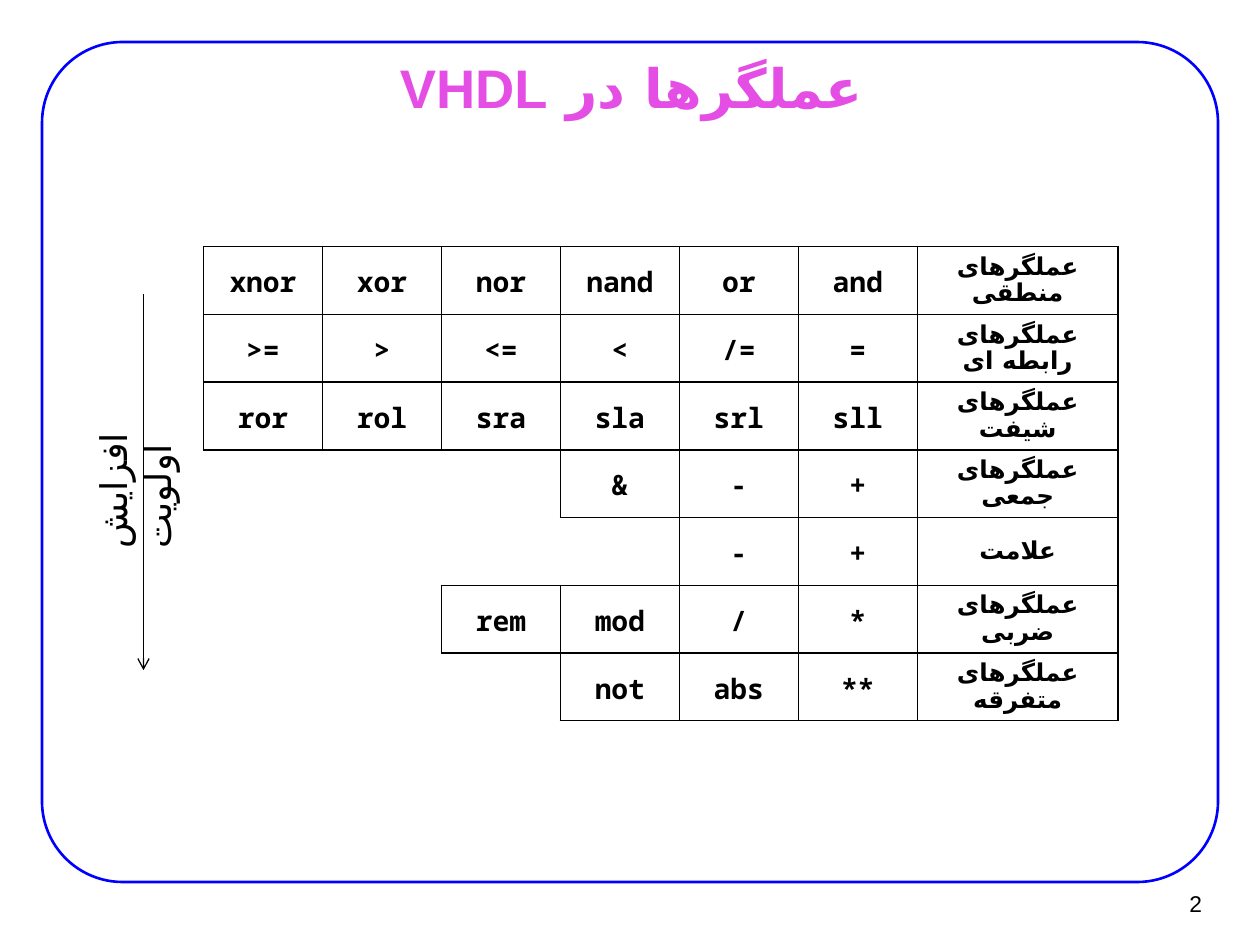
from pptx import Presentation
from pptx.dml.color import RGBColor
from pptx.enum.shapes import MSO_CONNECTOR, MSO_SHAPE
from pptx.enum.text import MSO_ANCHOR, MSO_AUTO_SIZE, PP_ALIGN
from pptx.oxml.ns import qn
from pptx.util import Pt
from lxml.etree import SubElement

COLORS = {"frame": "0000FF", "title": "E44EE4", "ink": "000000"}
CODE_FONT, LABEL_FONT, PERSIAN_FONT = "Noto Sans Mono", "Calibri", "DejaVu Sans"
NO_GRID_STYLE = "{2D5ABB26-0587-4C30-8999-92F81FD0307C}"

# Category, then its operators from right to left
OPERATORS = [
    ("عملگرهای منطقی", ["and", "or", "nand", "nor", "xor", "xnor"]),
    ("عملگرهای رابطه ای", ["=", "/=", "<", "<=", ">", ">="]),
    ("عملگرهای شیفت", ["sll", "srl", "sla", "sra", "rol", "ror"]),
    ("عملگرهای جمعی", ["+", "-", "&"]),
    ("علامت", ["+", "-"]),
    ("عملگرهای ضربی", ["*", "/", "mod", "rem"]),
    ("عملگرهای متفرقه", ["**", "abs", "not"]),
]
OPERATOR_COLUMNS = 6
OPERATOR_WIDTH, CATEGORY_WIDTH, ROW_HEIGHT = 68, 114.7, 38.7


def rgb(name):
    return RGBColor.from_string(COLORS[name])


def write(text_frame, text, font, size, color="ink", bold=False,
          align=PP_ALIGN.LEFT, rtl=False):
    paragraph = text_frame.paragraphs[0]
    paragraph.alignment = align
    if rtl:
        paragraph._p.get_or_add_pPr().set("rtl", "1")
    run = paragraph.add_run()
    run.text = text
    run.font.size = Pt(size)
    run.font.bold = bold
    run.font.color.rgb = rgb(color)
    run.font.name = font
    SubElement(run._r.get_or_add_rPr(), qn("a:cs"), typeface=PERSIAN_FONT)
    return paragraph


def set_margins(box, horizontal, vertical):
    box.margin_left = box.margin_right = Pt(horizontal)
    box.margin_top = box.margin_bottom = Pt(vertical)


def set_title(slide, text):
    title = slide.shapes.title
    title.left, title.top, title.width, title.height = Pt(54.7), Pt(31.7), Pt(612), Pt(35.3)
    frame = title.text_frame
    frame.auto_size = MSO_AUTO_SIZE.NONE
    frame.vertical_anchor = MSO_ANCHOR.MIDDLE
    set_margins(frame, 7.9, 4.3)
    write(frame, text, "Arial", 31, "title", True, PP_ALIGN.CENTER, rtl=True)


def add_frame(slide):
    """Rounded outline placed behind the title."""
    frame = slide.shapes.add_shape(MSO_SHAPE.ROUNDED_RECTANGLE, Pt(24), Pt(24), Pt(672), Pt(480))
    frame.adjustments[0] = 0.096
    frame.shadow.inherit = False
    frame.fill.background()
    frame.line.color.rgb = rgb("frame")
    frame.line.width = Pt(1.5)
    slide.shapes.title._element.addprevious(frame._element)


def set_borders(cell, visible_sides):
    properties = cell._tc.get_or_add_tcPr()
    for position, side in enumerate("LRTB"):
        line = SubElement(properties, qn(f"a:ln{side}"), w=str(Pt(1)))
        if side in visible_sides:
            fill = SubElement(line, qn("a:solidFill"))
            SubElement(fill, qn("a:srgbClr"), val=COLORS["ink"])
        else:
            SubElement(line, qn("a:noFill"))
        properties.insert(position, line)


def bordered_sides(grid, row, column):
    """All sides of a filled cell; for an empty one, those shared with filled cells."""
    if grid[row][column]:
        return "LRTB"
    neighbours = {"L": (row, column - 1), "R": (row, column + 1),
                  "T": (row - 1, column), "B": (row + 1, column)}
    return [side for side, (r, c) in neighbours.items()
            if 0 <= r < len(grid) and 0 <= c < len(grid[0]) and grid[r][c]]


def add_operator_table(slide):
    grid = [[""] * (OPERATOR_COLUMNS - len(operators)) + operators[::-1] + [category]
            for category, operators in OPERATORS]
    widths = [OPERATOR_WIDTH] * OPERATOR_COLUMNS + [CATEGORY_WIDTH]
    graphic = slide.shapes.add_table(len(grid), len(widths), Pt(116.3), Pt(141),
                                     Pt(sum(widths)), Pt(ROW_HEIGHT * len(grid)))
    table = graphic.table
    table.first_row = table.horz_banding = False
    table._tbl.tblPr.find(qn("a:tableStyleId")).text = NO_GRID_STYLE
    for column, width in zip(table.columns, widths):
        column.width = Pt(width)
    for r, texts in enumerate(grid):
        table.rows[r].height = Pt(ROW_HEIGHT)
        for c, text in enumerate(texts):
            cell = table.cell(r, c)
            cell.fill.background()
            cell.vertical_anchor = MSO_ANCHOR.MIDDLE
            set_margins(cell, 5.4, 0)
            set_borders(cell, bordered_sides(grid, r, c))
            if text:
                is_category = c == OPERATOR_COLUMNS
                font, size, spacing = (LABEL_FONT, 14, 0.92) if is_category else (CODE_FONT, 16, 1.07)
                paragraph = write(cell.text_frame, text, font, size, bold=True,
                                  align=PP_ALIGN.CENTER, rtl=is_category)
                paragraph.line_spacing = spacing


def add_slide_number(slide, number):
    frame = slide.shapes.add_textbox(Pt(649.4), Pt(503), Pt(43.9), Pt(26.6)).text_frame
    frame.word_wrap = False
    frame.vertical_anchor = MSO_ANCHOR.MIDDLE
    set_margins(frame, 6.5, 3)
    write(frame, number, "Arial", 13, align=PP_ALIGN.RIGHT)


def add_priority_arrow(slide):
    arrow = slide.shapes.add_connector(MSO_CONNECTOR.STRAIGHT, Pt(82), Pt(168), Pt(82), Pt(383))
    arrow.line.color.rgb = rgb("ink")
    arrow.line.width = Pt(0.75)
    SubElement(arrow.line._get_or_add_ln(), qn("a:tailEnd"), type="arrow")
    SubElement(arrow._element.spPr, qn("a:effectLst"))


def add_priority_label(slide, text):
    label = slide.shapes.add_textbox(Pt(2.2), Pt(242), Pt(124.5), Pt(32.4))
    label.rotation = 270
    frame = label.text_frame
    frame.word_wrap = True
    frame.auto_size = MSO_AUTO_SIZE.SHAPE_TO_FIT_TEXT
    write(frame, text, "Times New Roman", 21)


def main():
    presentation = Presentation()
    presentation.slide_width, presentation.slide_height = Pt(720), Pt(540)
    slide = presentation.slides.add_slide(presentation.slide_layouts.get_by_name("Title Only"))
    set_title(slide, "عملگرها در VHDL")
    add_frame(slide)
    add_operator_table(slide)
    add_slide_number(slide, "2")
    add_priority_arrow(slide)
    add_priority_label(slide, "افزایش اولویت")
    presentation.save("out.pptx")


if __name__ == "__main__":
    main()
